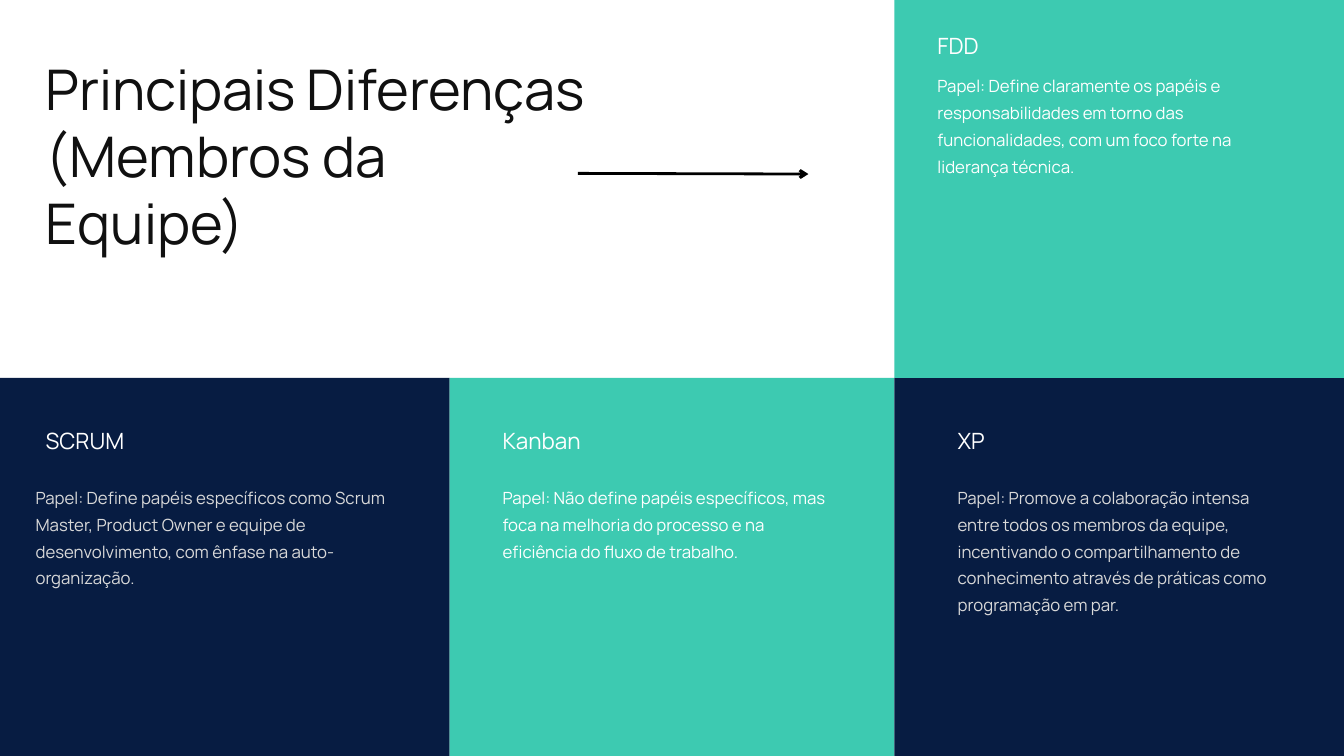
from collections import namedtuple

from pptx import Presentation
from pptx.dml.color import RGBColor
from pptx.enum.shapes import MSO_CONNECTOR, MSO_SHAPE
from pptx.enum.text import MSO_ANCHOR, MSO_AUTO_SIZE, PP_ALIGN
from pptx.oxml.ns import qn
from pptx.util import Inches, Pt
from lxml.etree import SubElement

WIDTH, HEIGHT = 20, 11.25
COLUMNS = (0, 6.69, 13.31, WIDTH)
ROWS = (0, HEIGHT / 2, HEIGHT)
NAVY, TEAL, WHITE, GREY, INK, BLACK = "071C42", "3DCAB1", "FFFFFF", "D9D9D9", "101010", "000000"

Box = namedtuple("Box", "left top width height")
Method = namedtuple("Method", "name role column row fill color name_at role_at role_width role_height")

METHODS = (
    Method("SCRUM", "Papel: Define papéis específicos como Scrum Master, Product Owner e equipe de "
           "desenvolvimento, com ênfase na auto-organização.",
           0, 1, NAVY, GREY, (0.68, 0.67), (0.53, 1.53), 5.64, 1.58),
    Method("Kanban", "Papel: Não define papéis específicos, mas foca na melhoria do processo e na "
           "eficiência do fluxo de trabalho.",
           1, 1, TEAL, WHITE, (0.79, 0.67), (0.79, 1.53), 5.04, 1.18),
    Method("XP", "Papel: Promove a colaboração intensa entre todos os membros da equipe, incentivando "
           "o compartilhamento de conhecimento através de práticas como programação em par.",
           2, 1, NAVY, GREY, (0.94, 0.67), (0.94, 1.53), 4.62, 2.37),
    Method("FDD", "Papel: Define claramente os papéis e responsabilidades em torno das "
           "funcionalidades, com um foco forte na liderança técnica.",
           2, 0, TEAL, WHITE, (0.64, 0.41), (0.64, 1.03), 5.41, 1.58),
)


def rgb(value):
    return RGBColor.from_string(value)


def cell(column, row, span=1):
    left, top = COLUMNS[column], ROWS[row]
    return Box(left, top, COLUMNS[column + span] - left, ROWS[row + 1] - top)


def inset(box, offset, width, height):
    return Box(box.left + offset[0], box.top + offset[1], width, height)


def emu(box):
    return [Inches(value) for value in box]


def write(shape, text, size, spacing, color):
    frame = shape.text_frame
    frame.word_wrap = True
    frame.auto_size = MSO_AUTO_SIZE.NONE
    frame.vertical_anchor = MSO_ANCHOR.TOP
    frame.margin_left = frame.margin_top = frame.margin_right = frame.margin_bottom = 0
    para = frame.paragraphs[0]
    para.alignment = PP_ALIGN.LEFT
    para.line_spacing = Pt(spacing)
    span = para.add_run()
    span.text = text
    span.font.name = "Manrope"
    span.font.size = Pt(size)
    span.font.color.rgb = rgb(color)


def add_text(page, box, text, **text_format):
    write(page.shapes.add_textbox(*emu(box)), text, **text_format)


def add_arrow(page, box):
    start_x, start_y, width, height = box
    arrow = page.shapes.add_connector(
        MSO_CONNECTOR.STRAIGHT, Inches(start_x), Inches(start_y),
        Inches(start_x + width), Inches(start_y + height))
    arrow.line.color.rgb = rgb(BLACK)
    arrow.line.width = Pt(3)
    SubElement(arrow.line._get_or_add_ln(), qn("a:tailEnd"), type="arrow")
    SubElement(arrow._element.spPr, qn("a:effectLst"))


def add_heading(page, box):
    title = page.shapes.title
    title.left, title.top, title.width, title.height = emu(inset(box, (0.68, 0.81), 8.08, 4.04))
    write(title, "Principais Diferenças (Membros da Equipe)", size=60, spacing=72, color=INK)
    add_arrow(page, inset(box, (8.6, 2.58), 3.43, 0.01))


def add_method(page, box, method):
    tile = page.shapes.add_shape(MSO_SHAPE.RECTANGLE, *emu(box))
    tile.shadow.inherit = False
    tile.fill.solid()
    tile.fill.fore_color.rgb = rgb(method.fill)
    tile.line.fill.background()
    add_text(page, inset(box, method.name_at, 4.44, 0.46), method.name,
             size=24, spacing=33.6, color=WHITE)
    add_text(page, inset(box, method.role_at, method.role_width, method.role_height), method.role,
             size=18, spacing=28.8, color=method.color)


def main():
    deck = Presentation()
    deck.slide_width, deck.slide_height = Inches(WIDTH), Inches(HEIGHT)
    page = deck.slides.add_slide(deck.slide_layouts[5])
    page.background.fill.solid()
    page.background.fill.fore_color.rgb = rgb(WHITE)
    add_heading(page, cell(0, 0, span=2))
    for method in METHODS:
        add_method(page, cell(method.column, method.row), method)
    deck.save("out.pptx")


if __name__ == "__main__":
    main()
